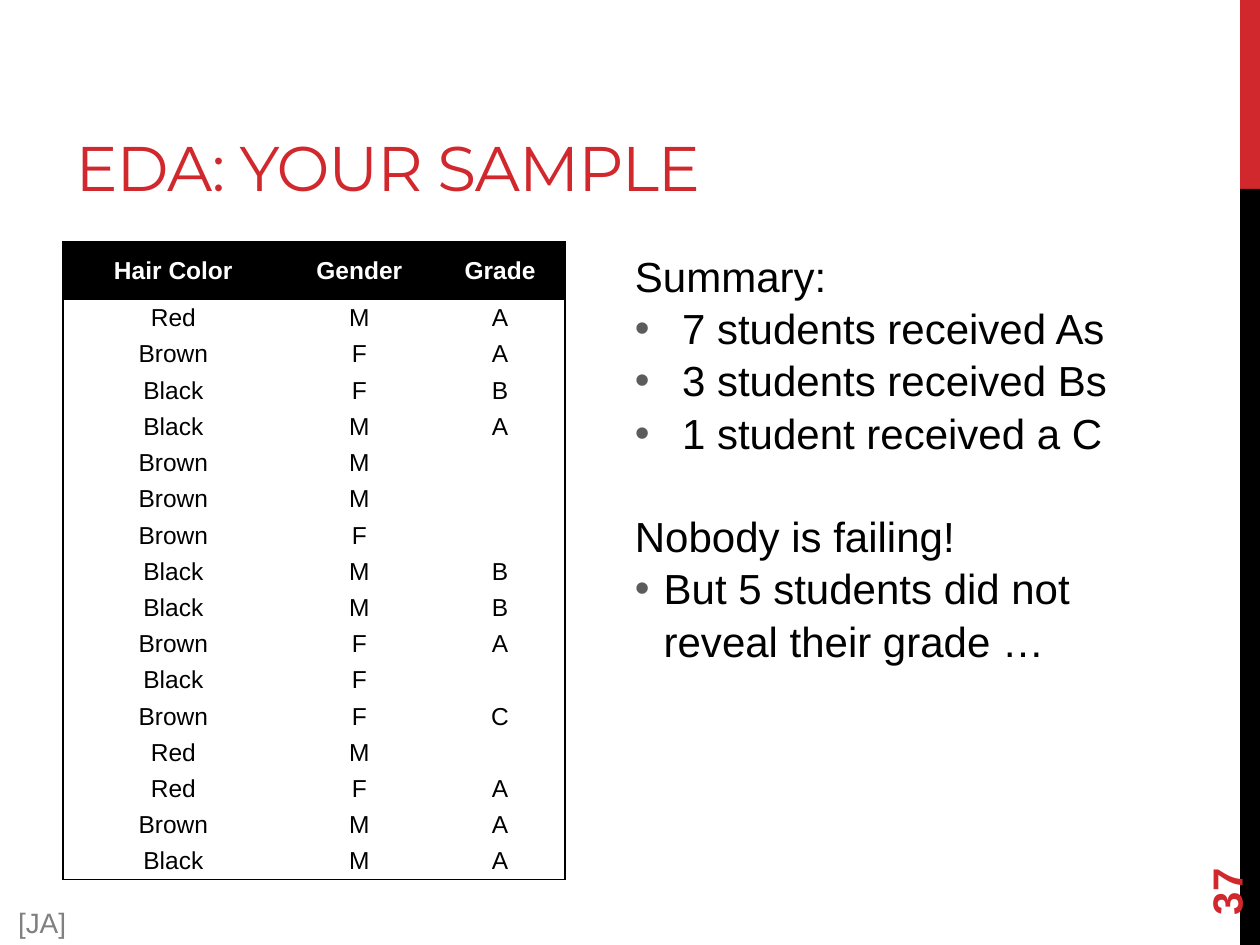
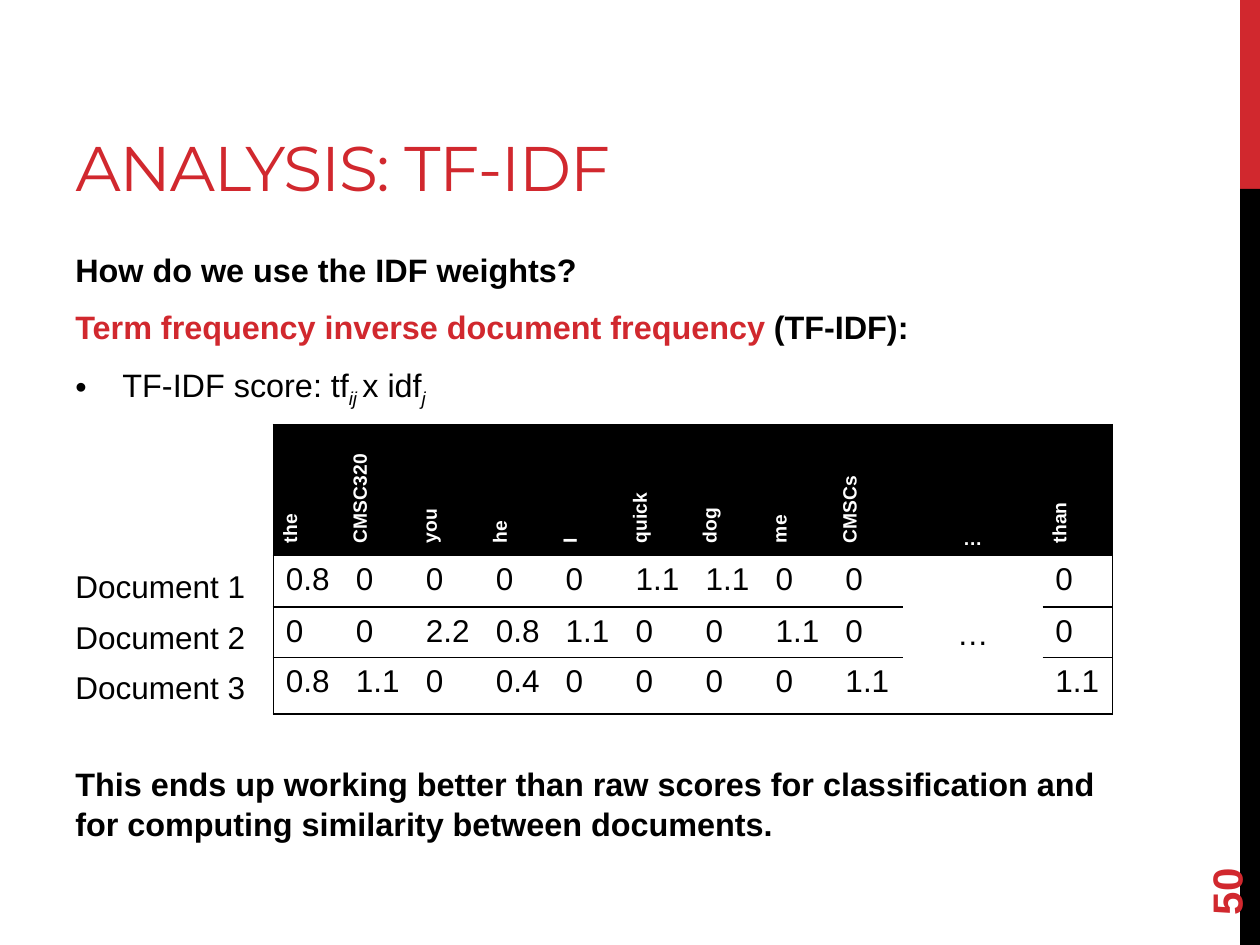
"""Builds two lecture slides: a sample data table and a TF-IDF weight table."""
from dataclasses import dataclass

from lxml import etree
from pptx import Presentation
from pptx.dml.color import RGBColor
from pptx.enum.shapes import MSO_SHAPE
from pptx.enum.text import MSO_ANCHOR, MSO_AUTO_SIZE, PP_ALIGN
from pptx.oxml.ns import qn
from pptx.util import Cm, Pt

RECTANGLE = MSO_SHAPE.RECTANGLE
TOP, MIDDLE, BOTTOM = MSO_ANCHOR.TOP, MSO_ANCHOR.MIDDLE, MSO_ANCHOR.BOTTOM
LEFT, CENTER = PP_ALIGN.LEFT, PP_ALIGN.CENTER
NO_AUTOFIT = MSO_AUTO_SIZE.NONE
TITLE_ONLY = 5
NO_TABLE_STYLE = "{2D5ABB26-0587-4C30-8999-92F81FD0307C}"


@dataclass(frozen=True)
class Theme:
    """Colours, fonts and type sizes of the deck."""
    accent: str = "D1282E"
    ink: str = "000000"
    paper: str = "FFFFFF"
    bullet: str = "5C5C5C"
    credit: str = "808080"
    title_font: str = "Montserrat"
    body_font: str = "Arial"
    title_size: float = 36
    large_size: float = 24
    body_size: float = 18.5
    label_size: float = 18
    credit_size: float = 16
    sample_size: float = 14
    term_size: float = 11
    line_spacing: float = 1.04


@dataclass(frozen=True)
class Span:
    """A stretch of text with one look."""
    text: str
    bold: bool = False
    subscript: bool = False
    color: str = Theme.ink


@dataclass(frozen=True)
class Line:
    """A paragraph made of spans, with its spacing and bullet."""
    spans: tuple
    before: float = 0
    after: float = 0
    indent: float = 0
    bullet_color: str = Theme.ink


class Deck:
    """Holds the theme and the current slide, and draws each kind of element."""

    def __init__(self, theme):
        """Start an empty 4:3 presentation."""
        self.theme = theme
        self.presentation = Presentation()
        self.presentation.slide_width = Cm(25.4)
        self.presentation.slide_height = Cm(19.05)
        self.slide = None

    def new_slide(self, title, number):
        """Add a slide with its side bands, title and page number."""
        layout = self.presentation.slide_layouts[TITLE_ONLY]
        self.slide = self.presentation.slides.add_slide(layout)
        self.band(0, 3.81, self.theme.accent)
        self.band(3.81, 15.24, self.theme.ink)
        self.title(title)
        page = self.text((22.86, 16.36, 3.66, 1.02),
                         [Line((Span(number, bold=True, color=self.theme.accent),))],
                         self.theme.large_size, anchor=MIDDLE)
        page.rotation = 270

    def band(self, top, height, color):
        """Draw one part of the band at the right edge."""
        band = self.slide.shapes.add_shape(RECTANGLE, Cm(25), Cm(top), Cm(0.4), Cm(height))
        band.shadow.inherit = False
        band.fill.solid()
        band.fill.fore_color.rgb = RGBColor.from_string(color)
        band.line.fill.background()

    def title(self, text):
        """Place and format the title placeholder."""
        title = self.slide.shapes.title
        title.left, title.top, title.width, title.height = map(Cm, (1.27, 0.43, 16.08, 3.81))
        frame = title.text_frame
        frame.text = text
        frame.auto_size = NO_AUTOFIT
        frame.vertical_anchor = BOTTOM
        frame.paragraphs[0].alignment = LEFT
        run = frame.paragraphs[0].runs[0]
        self.format(run, self.theme.title_size, self.theme.accent, font=self.theme.title_font)
        run._r.get_or_add_rPr().set("spc", "-60")

    def format(self, run, size, color, bold=False, font=None):
        """Set the font of a run."""
        run.font.name = font or self.theme.body_font
        run.font.size = Pt(size)
        run.font.bold = bold
        run.font.color.rgb = RGBColor.from_string(color)

    def text(self, place, lines, size, anchor=TOP, align=LEFT):
        """Add a text box holding the given lines."""
        box = self.slide.shapes.add_textbox(*map(Cm, place))
        frame = box.text_frame
        frame.word_wrap = True
        frame.vertical_anchor = anchor
        for index, line in enumerate(lines):
            paragraph = frame.add_paragraph() if index else frame.paragraphs[0]
            self.bullet(paragraph, line)
            paragraph.alignment = align
            paragraph.line_spacing = self.theme.line_spacing
            paragraph.space_before = Pt(line.before)
            paragraph.space_after = Pt(line.after)
            for span in line.spans:
                run = paragraph.add_run()
                run.text = span.text
                self.format(run, size, span.color, span.bold)
                if span.subscript:
                    run.font.italic = True
                    run._r.get_or_add_rPr().set("baseline", "-25000")
        return box

    def bullet(self, paragraph, line):
        """Give a paragraph a hanging bullet if its line is indented."""
        if not line.indent:
            return
        properties = paragraph._p.get_or_add_pPr()
        properties.set("marL", str(Cm(line.indent)))
        properties.set("indent", str(-Cm(line.indent)))
        color = etree.SubElement(properties, qn("a:buClr"))
        etree.SubElement(color, qn("a:srgbClr"), val=line.bullet_color)
        etree.SubElement(properties, qn("a:buFont"), typeface=self.theme.body_font)
        etree.SubElement(properties, qn("a:buChar"), char="•")

    def table(self, corner, widths, heights, rows, sizes, merge=None, ruled=False):
        """Add a framed table with a black header row."""
        table = self.slide.shapes.add_table(
            len(rows), len(widths), *map(Cm, (*corner, sum(widths), sum(heights)))).table
        table._tbl.tblPr.find(qn("a:tableStyleId")).text = NO_TABLE_STYLE
        table.first_row = table.horz_banding = False
        for column, width in zip(table.columns, widths):
            column.width = Cm(width)
        for row, height in zip(table.rows, heights):
            row.height = Cm(height)
        if merge:
            table.cell(*merge[0]).merge(table.cell(*merge[1]))
        last_row, last_column = len(rows) - 1, len(widths) - 1
        for r, values in enumerate(rows):
            for c, value in enumerate(values):
                cell = table.cell(r, c)
                sides = {"L": c == 0, "R": c == last_column, "T": r == 0,
                         "B": r == last_row or ruled and not cell.is_spanned}
                self.borders(cell, [side for side, drawn in sides.items() if drawn])
                self.cell(cell, value, sizes[min(r, 1)], header=r == 0)
        return table

    def borders(self, cell, sides):
        """Draw one-point lines on the named sides of a cell."""
        properties = cell._tc.get_or_add_tcPr()
        for side in sides:
            line = etree.SubElement(properties, qn(f"a:ln{side}"), w=str(Pt(1)))
            fill = etree.SubElement(line, qn("a:solidFill"))
            etree.SubElement(fill, qn("a:srgbClr"), val=self.theme.ink)

    def cell(self, cell, value, size, header):
        """Fill and letter one table cell."""
        if header:
            cell.fill.solid()
            cell.fill.fore_color.rgb = RGBColor.from_string(self.theme.ink)
        else:
            cell.fill.background()
        paragraph = cell.text_frame.paragraphs[0]
        paragraph.text = value
        for run in paragraph.runs:
            self.format(run, size, self.theme.paper if header else self.theme.ink, header)
        if not value:
            etree.SubElement(paragraph._p, qn("a:endParaRPr"), sz=str(int(size * 100)))


def sample_slide(deck):
    """Show the student sample and its summary."""
    theme = deck.theme
    deck.new_slide("EDA: YOUR SAMPLE", "37")
    students = [
        ("Red", "M", "A"), ("Brown", "F", "A"), ("Black", "F", "B"), ("Black", "M", "A"),
        ("Brown", "M", ""), ("Brown", "M", ""), ("Brown", "F", ""), ("Black", "M", "B"),
        ("Black", "M", "B"), ("Brown", "F", "A"), ("Black", "F", ""), ("Brown", "F", "C"),
        ("Red", "M", ""), ("Red", "F", "A"), ("Brown", "M", "A"), ("Black", "M", "A"),
    ]
    sample = deck.table((1.27, 4.88), (4.45, 3.05, 2.62), [1.17] + [0.73] * len(students),
                        [("Hair Color", "Gender", "Grade"), *students],
                        (theme.sample_size, theme.sample_size))
    for cell in sample.iter_cells():
        cell.margin_left = cell.margin_right = cell.margin_top = cell.margin_bottom = 0
        cell.vertical_anchor = MIDDLE
        cell.text_frame.paragraphs[0].alignment = CENTER
    grades = ("7 students received As", "3 students received Bs", "1 student received a C")
    deck.text((12.55, 4.88, 11.63, 8.46), [
        Line((Span("Summary:"),)),
        *(Line((Span(grade),), indent=0.95, bullet_color=theme.bullet) for grade in grades),
        Line((Span("Nobody is failing!"),), before=29),
        Line((Span("But 5 students did not reveal their grade …"),),
             indent=0.58, bullet_color=theme.bullet),
    ], theme.large_size)
    deck.text((0, 18.11, 1.7, 0.94), [Line((Span("[JA]", color=theme.credit),))],
              theme.credit_size, align=CENTER)


def tf_idf_slide(deck):
    """Explain the TF-IDF score with a table of weights."""
    theme = deck.theme
    deck.new_slide("ANALYSIS: TF-IDF", "50")
    deck.text((1.27, 4.88, 21.16, 12.14), [
        Line((Span("How do we use the IDF weights?", bold=True),), after=6),
        Line((Span("Term frequency inverse document frequency", bold=True, color=theme.accent),
              Span(" (TF-IDF):", bold=True)), before=3.7, after=6),
        Line((Span("TF-IDF score: tf"), Span("ij ", subscript=True),
              Span("x idf"), Span("j", subscript=True)), before=3.7, after=6, indent=0.95),
        Line((Span("This ends up working better than raw scores for classification and "
                   "for computing similarity between documents.", bold=True),), before=196),
    ], theme.body_size)

    terms = ("the", "CMSC320", "you", "he", "I", "quick", "dog", "me", "CMSCs", "…", "than")
    weights = [
        ("0.8", "0", "0", "0", "0", "1.1", "1.1", "0", "0", "…", "0"),
        ("0", "0", "2.2", "0.8", "1.1", "0", "0", "1.1", "0", "", "0"),
        ("0.8", "1.1", "0", "0.4", "0", "0", "0", "0", "1.1", "", "1.1"),
    ]
    gap = terms.index("…")
    widths = [2.82 if column == gap else 1.41 for column in range(len(terms))]
    scores = deck.table((5.51, 8.56), widths, (2.64, 1.04, 0.99, 1.14), [terms, *weights],
                        (theme.term_size, theme.label_size),
                        merge=((1, gap), (len(weights), gap)), ruled=True)
    for column in range(len(terms)):
        if column != gap:
            scores.cell(0, column)._tc.get_or_add_tcPr().set("vert", "vert270")
    for row, anchor in ((0, BOTTOM), (1, MIDDLE)):
        ellipsis = scores.cell(row, gap)
        ellipsis.vertical_anchor = anchor
        ellipsis.text_frame.paragraphs[0].alignment = CENTER
    for index in range(len(weights)):
        deck.text((1.27, 11.28 + 1.02 * index, 4.04, 1.02),
                  [Line((Span(f"Document {index + 1}"),))], theme.label_size)


def main():
    """Build and save the deck."""
    deck = Deck(Theme())
    sample_slide(deck)
    tf_idf_slide(deck)
    deck.presentation.save("out.pptx")


if __name__ == "__main__":
    main()
